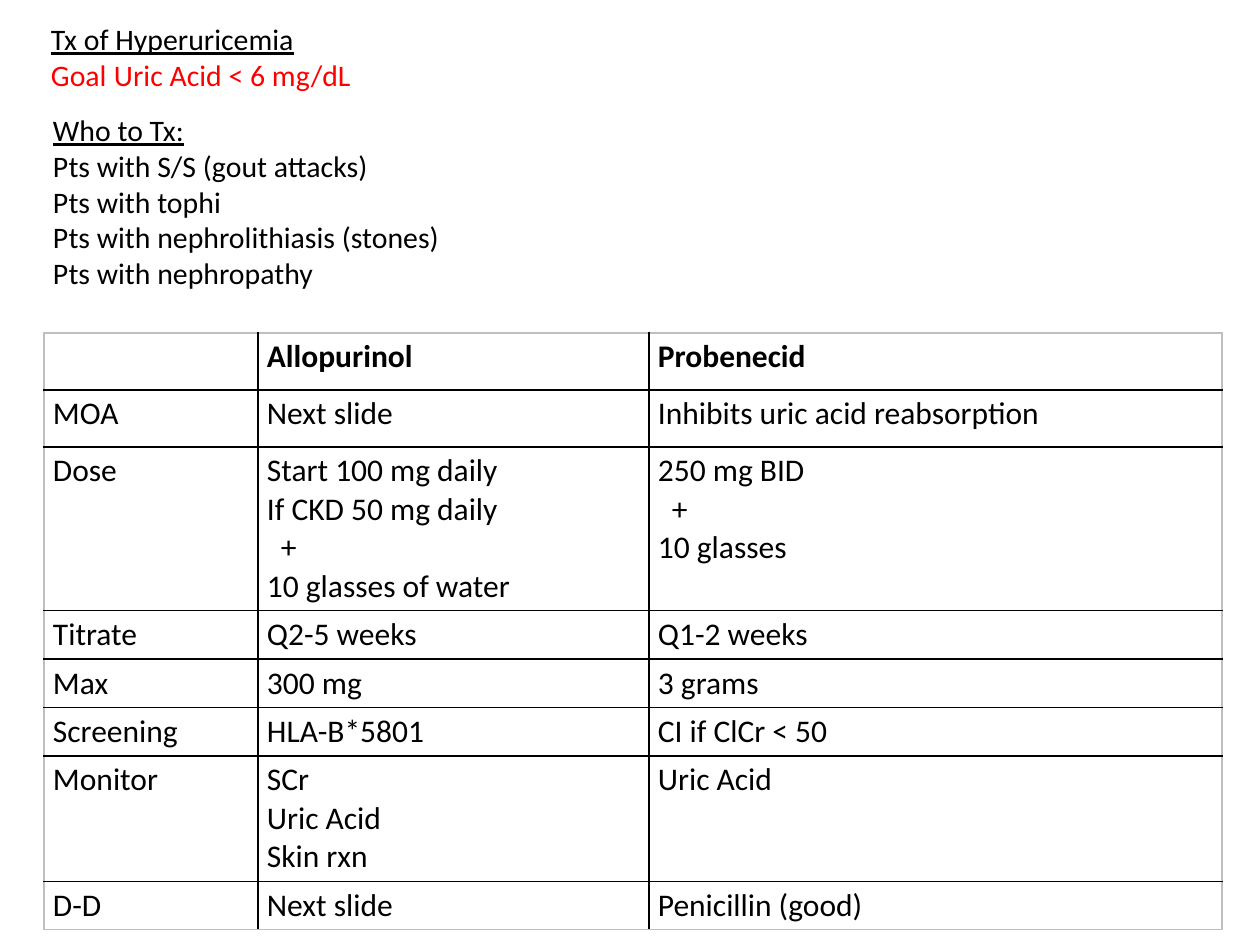
"""Build a slide on the treatment of hyperuricemia."""
import pptx
import pptx.dml.color
import pptx.enum.text
import pptx.oxml
import pptx.oxml.ns
import pptx.util

SCALE = 914400 / 126
FONT = "Calibri"
BLACK, RED, GREY = "000000", "FF0000", "BFBFBF"
INDENT = 14
GOAL_TAB = 76

HEADING = ["Tx of Hyperuricemia", "Goal\tUric Acid < 6 mg/dL"]
WHO_TO_TREAT = [
    "Who to Tx:",
    "Pts with S/S (gout attacks)",
    "Pts with tophi",
    "Pts with nephrolithiasis (stones)",
    "Pts with nephropathy",
]
DRUGS = [
    ("", "Allopurinol", "Probenecid"),
    ("MOA", "Next slide", "Inhibits uric acid reabsorption"),
    ("Dose", "Start 100 mg daily\nIf CKD 50 mg daily\n+\n10 glasses of water",
     "250 mg BID\n+\n10 glasses"),
    ("Titrate", "Q2-5 weeks", "Q1-2 weeks"),
    ("Max", "300 mg", "3 grams"),
    ("Screening", "HLA-B*5801", "CI if ClCr < 50"),
    ("Monitor", "SCr\nUric Acid\nSkin rxn", "Uric Acid"),
    ("D-D", "Next slide", "Penicillin (good)"),
]
COLUMN_WIDTHS = [214, 391, 573]
ROW_HEIGHTS = [57, 57, 160, 48, 48, 48, 122, 48]


def px(length):
    return pptx.util.Emu(round(length * SCALE))


def color(value):
    return pptx.dml.color.RGBColor.from_string(value)


def add_element(parent, xml):
    namespace = pptx.oxml.ns.nsdecls("a")
    parent.append(pptx.oxml.parse_xml(xml.replace(" ", f" {namespace} ", 1)))


def format_font(font, size, bold=False, underline=False, value=BLACK):
    font.name = FONT
    font.size = pptx.util.Pt(size)
    font.bold = bold
    font.underline = underline
    font.color.rgb = color(value)


def fill_placeholder(shape, lines, box, inset, wrap):
    shape.left, shape.top, shape.width, shape.height = map(px, box)
    frame = shape.text_frame
    frame.text = "\n".join(lines)
    frame.word_wrap = wrap
    frame.auto_size = pptx.enum.text.MSO_AUTO_SIZE.NONE
    frame.vertical_anchor = pptx.enum.text.MSO_ANCHOR.TOP
    frame.margin_left = frame.margin_right = px(inset)
    frame.margin_top = frame.margin_bottom = px(inset // 2)
    for index, paragraph in enumerate(frame.paragraphs):
        properties = paragraph._p.get_or_add_pPr()
        properties.set("marL", "0")
        properties.set("indent", "0")
        add_element(properties, "<a:buNone />")
        paragraph.alignment = pptx.enum.text.PP_ALIGN.LEFT
        paragraph.space_before = pptx.util.Pt(0)
        for run in paragraph.runs:
            format_font(run.font, 17, underline=index == 0)


def set_borders(cell, row, column):
    outer = {
        "lnL": column == 0,
        "lnR": column == len(COLUMN_WIDTHS) - 1,
        "lnT": row == 0,
        "lnB": row == len(ROW_HEIGHTS) - 1,
    }
    for side, is_outer in outer.items():
        value = GREY if is_outer else BLACK
        add_element(
            cell._tc.get_or_add_tcPr(),
            f'<a:{side} w="12700"><a:solidFill><a:srgbClr val="{value}"/>'
            f"</a:solidFill></a:{side}>",
        )


def fill_cell(cell, text, row, column):
    cell.text = text
    cell.margin_left = cell.margin_right = px(9)
    cell.margin_top = cell.margin_bottom = px(5)
    set_borders(cell, row, column)
    cell.fill.background()
    for paragraph in cell.text_frame.paragraphs:
        if paragraph.text == "+":
            paragraph._p.get_or_add_pPr().set("marL", str(px(INDENT)))
        for run in paragraph.runs:
            format_font(run.font, 18, bold=row == 0)


def add_drug_table(slide):
    table = slide.shapes.add_table(
        len(DRUGS), len(COLUMN_WIDTHS), px(44), px(333),
        px(sum(COLUMN_WIDTHS)), px(sum(ROW_HEIGHTS)),
    ).table
    table.first_row = table.horz_banding = False
    for column, width in zip(table.columns, COLUMN_WIDTHS):
        column.width = px(width)
    for row, height in zip(table.rows, ROW_HEIGHTS):
        row.height = px(height)
    for row, texts in enumerate(DRUGS):
        for column, text in enumerate(texts):
            fill_cell(table.cell(row, column), text, row, column)


def main():
    presentation = pptx.Presentation()
    presentation.slide_width, presentation.slide_height = px(1260), px(945)
    slide = presentation.slides.add_slide(presentation.slide_layouts[1])
    title, body = slide.placeholders

    fill_placeholder(title, HEADING, (39, 15, 340, 84), 12, False)
    goal = title.text_frame.paragraphs[1]
    add_element(
        goal._p.get_or_add_pPr(),
        f'<a:tabLst ><a:tab pos="{px(GOAL_TAB)}" algn="l"/></a:tabLst>',
    )
    for run in goal.runs:
        run.font.color.rgb = color(RED)

    fill_placeholder(body, WHO_TO_TREAT, (44, 108, 630, 189), 9, True)
    add_drug_table(slide)
    presentation.save("out.pptx")


if __name__ == "__main__":
    main()
